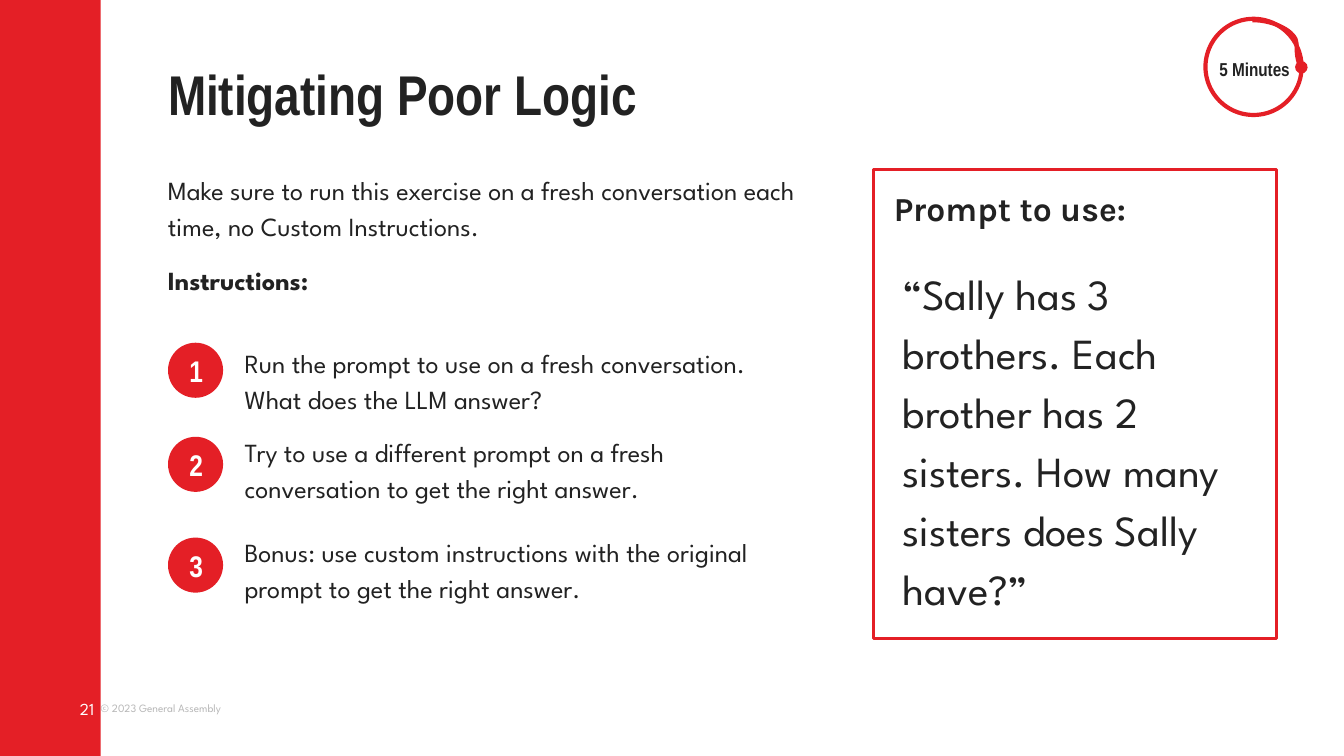
from dataclasses import dataclass

from lxml.etree import SubElement
from pptx import Presentation
from pptx.dml.color import RGBColor
from pptx.enum.shapes import MSO_CONNECTOR, MSO_SHAPE
from pptx.enum.text import MSO_ANCHOR, PP_ALIGN
from pptx.oxml.ns import qn
from pptx.util import Pt


@dataclass(frozen=True)
class Theme:
    red: str = "E41F26"
    ink: str = "222222"
    gray: str = "B7B7B7"
    white: str = "FFFFFF"
    narrow: str = "Arial Narrow"
    heading: str = "Karla"
    body: str = "League Spartan"
    title_size: float = 30
    quote_size: float = 23
    heading_size: float = 18
    number_size: float = 16
    body_size: float = 14
    label_size: float = 10
    page_size: float = 9
    footer_size: float = 6


THEME = Theme()


def write(paragraph, text, font=THEME.body, size=THEME.body_size, color=THEME.ink,
          bold=False, align=PP_ALIGN.LEFT, line=1.0, before=0, after=0):
    paragraph.alignment = align
    paragraph.line_spacing = line
    paragraph.space_before = Pt(before)
    paragraph.space_after = Pt(after)
    run = paragraph.add_run()
    run.text = text
    run.font.name = font
    run.font.size = Pt(size)
    run.font.bold = bold
    run.font.color.rgb = RGBColor.from_string(color)


class SlideBuilder:
    def __init__(self, slide, theme):
        self.slide = slide
        self.theme = theme

    def frame(self, shape, inset=0, anchor=MSO_ANCHOR.TOP):
        frame = shape.text_frame
        frame.word_wrap = True
        frame.vertical_anchor = anchor
        frame.margin_left = frame.margin_right = Pt(inset)
        frame.margin_top = frame.margin_bottom = Pt(inset)
        return frame

    def text(self, box, text, inset=0, anchor=MSO_ANCHOR.TOP, **style):
        shape = self.slide.shapes.add_textbox(*map(Pt, box))
        frame = self.frame(shape, inset, anchor)
        write(frame.paragraphs[0], text, **style)
        return frame

    def shape(self, kind, box, fill=None, line_width=None):
        shape = self.slide.shapes.add_shape(kind, *map(Pt, box))
        shape.shadow.inherit = False
        if fill:
            shape.fill.solid()
            shape.fill.fore_color.rgb = RGBColor.from_string(fill)
        else:
            shape.fill.background()
        if line_width:
            shape.line.color.rgb = RGBColor.from_string(self.theme.red)
            shape.line.width = Pt(line_width)
        else:
            shape.line.fill.background()
        return shape

    def badge(self, box, number):
        shape = self.shape(MSO_SHAPE.OVAL, box, fill=self.theme.red)
        frame = self.frame(shape, 7.2, MSO_ANCHOR.MIDDLE)
        write(frame.paragraphs[0], str(number), font=self.theme.narrow,
              size=self.theme.number_size, color=self.theme.white, bold=True,
              align=PP_ALIGN.CENTER)

    def curve(self, start, end, bend, width):
        connector = self.slide.shapes.add_connector(
            MSO_CONNECTOR.CURVE, *map(Pt, start + end))
        connector.line.color.rgb = RGBColor.from_string(self.theme.red)
        connector.line.width = Pt(width)
        properties = connector.element.spPr
        guides = properties.find(qn("a:prstGeom")).find(qn("a:avLst"))
        SubElement(guides, qn("a:gd"), name="adj1", fmla=f"val {bend}")
        SubElement(properties.find(qn("a:ln")), qn("a:tailEnd"), type="oval")
        SubElement(properties, qn("a:effectLst"))


def main():
    presentation = Presentation()
    presentation.slide_width = Pt(720)
    presentation.slide_height = Pt(405)
    slide = presentation.slides.add_slide(presentation.slide_layouts[6])
    theme = THEME
    builder = SlideBuilder(slide, theme)

    builder.text((54, 372.2, 72, 14.4), "© 2023 General Assembly",
                 anchor=MSO_ANCHOR.MIDDLE, size=theme.footer_size, color=theme.gray)
    builder.shape(MSO_SHAPE.RECTANGLE, (0, 0, 54, 405), fill=theme.red)
    builder.text((25.2, 367.2, 25.2, 25.2), "21", anchor=MSO_ANCHOR.MIDDLE,
                 size=theme.page_size, color=theme.white, align=PP_ALIGN.RIGHT)

    builder.text((90, 36, 486, 32.4), "Mitigating Poor Logic", font=theme.narrow,
                 size=theme.title_size, bold=True, line=0.9)

    intro = builder.text(
        (90, 90.7, 342.7, 90),
        "Make sure to run this exercise on a fresh conversation each time, "
        "no Custom Instructions.", line=1.15)
    write(intro.add_paragraph(), "Instructions:", bold=True, line=1.15,
          before=10, after=10)

    steps = [
        (183.6, 183.6, "Run the prompt to use on a fresh conversation. "
                       "What does the LLM answer?"),
        (234, 231.1, "Try to use a different prompt on a fresh conversation "
                     "to get the right answer."),
        (288, 285.1, "Bonus: use custom instructions with the original prompt "
                     "to get the right answer."),
    ]
    for number, (badge_top, text_top, step) in enumerate(steps, 1):
        builder.badge((90, badge_top, 29.5, 29.5), number)
        builder.text((131, text_top, 301, 36), step, line=1.15, after=10)

    builder.shape(MSO_SHAPE.RECTANGLE, (468, 90.7, 216, 251.3), line_width=1.5)
    builder.text((478.8, 103, 190.8, 19.4), "Prompt to use:", font=theme.heading,
                 size=theme.heading_size, bold=True, line=0.9)
    builder.text(
        (476.6, 131.8, 196.6, 197.3),
        "“Sally has 3 brothers. Each brother has 2 sisters. "
        "How many sisters does Sally have?”",
        inset=7.2, size=theme.quote_size, line=1.15, after=10)

    builder.shape(MSO_SHAPE.OVAL, (645.8, 10.1, 51.5, 51.5), line_width=2.25)
    builder.curve((671, 10.8), (697.2, 36), bend=90300, width=2.25)
    builder.text((640.8, 4.3, 62.6, 63.4), "5 Minutes", anchor=MSO_ANCHOR.MIDDLE,
                 font=theme.narrow, size=theme.label_size, bold=True,
                 align=PP_ALIGN.CENTER, line=1.15, after=10)

    presentation.save("out.pptx")


if __name__ == "__main__":
    main()
